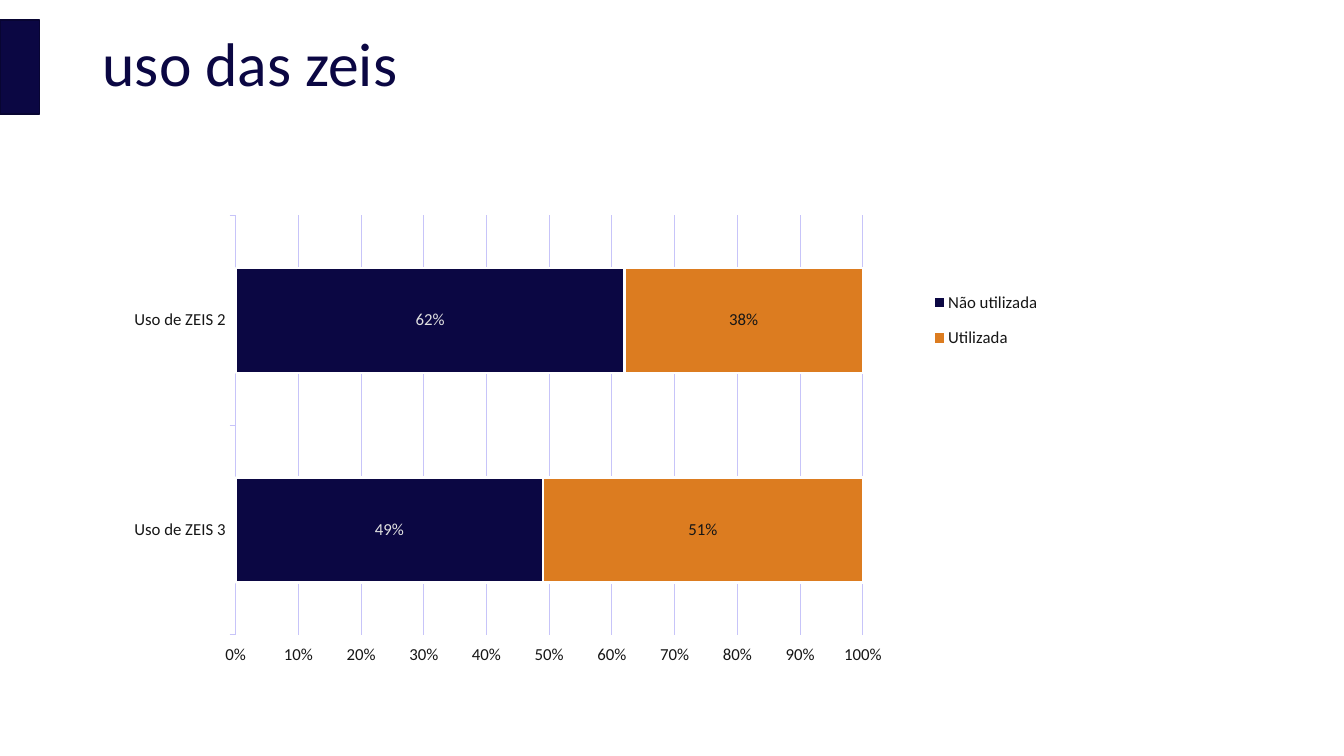
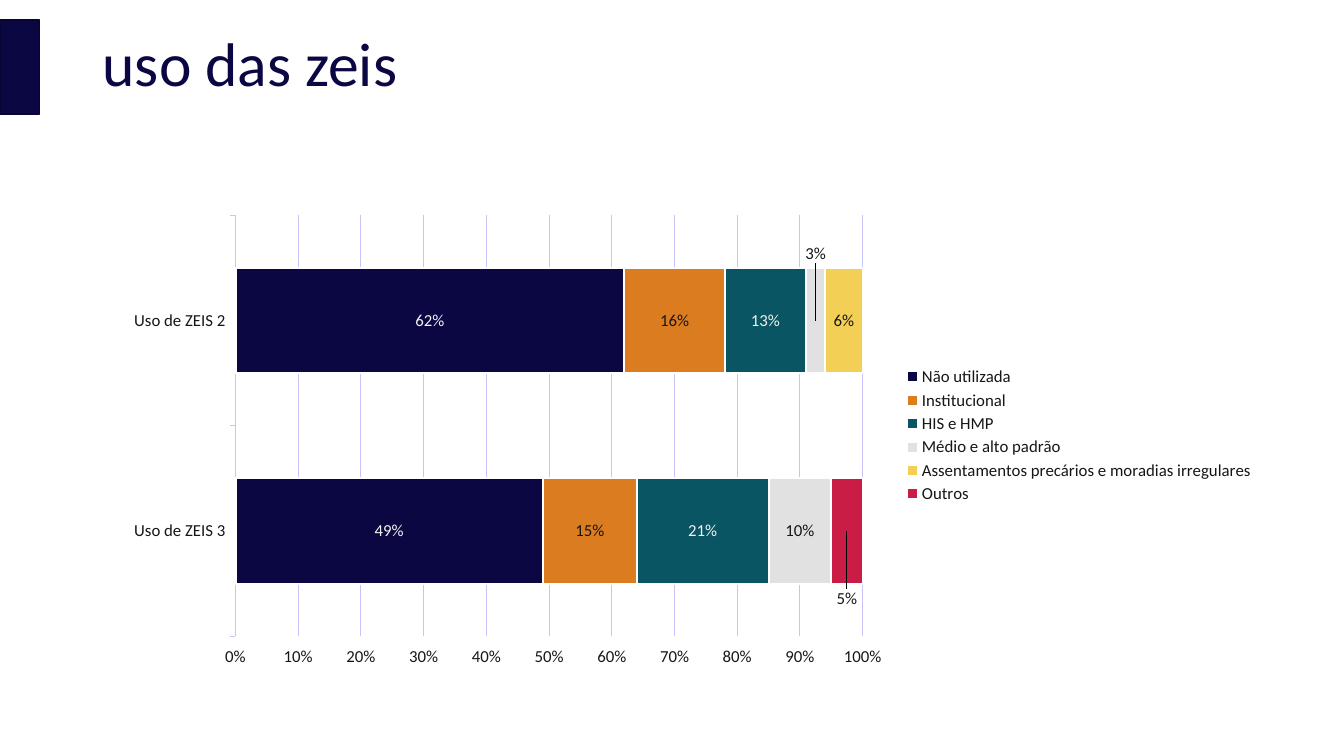
from lxml import etree
from pptx import Presentation
from pptx.chart.data import CategoryChartData
from pptx.dml.color import RGBColor
from pptx.enum.chart import XL_CHART_TYPE, XL_LABEL_POSITION, XL_LEGEND_POSITION, XL_TICK_MARK
from pptx.enum.shapes import MSO_SHAPE
from pptx.enum.text import MSO_ANCHOR
from pptx.oxml.ns import qn
from pptx.util import Inches, Pt

HUES = {
    "navy": "0B0743", "edge": "080532", "orange": "DC7C20", "teal": "095563",
    "gray": "E1E1E1", "yellow": "F4CF56", "red": "CA1D45", "ink": "161616",
    "pale": "F2F2F2", "grid": "C7C4F9", "white": "FFFFFF",
}
FACE = "Calibri"


def write(frame, text, size=44, hue="navy", space=0.9):
    line = frame.paragraphs[0]
    line.text = text
    line.line_spacing = space
    line.font.size = Pt(size)
    line.font.name = FACE
    line.font.color.rgb = RGBColor.from_string(HUES[hue])


def place(node, index, **parts):
    layout = node.find(qn("c:layout"))
    if layout is not None:
        node.remove(layout)
    layout = etree.Element(qn("c:layout"))
    manual = etree.SubElement(layout, qn("c:manualLayout"))
    for key, value in parts.items():
        etree.SubElement(manual, qn("c:" + key)).set("val", str(value))
    node.insert(index, layout)


slides = [
    {
        "left": 0.75,
        "plot": (0.138, 0.041, 0.541, 0.875),
        "legend": (0.72, 0.17, 0.13, 0.18),
        "series": [
            ("Não utilizada", (0.49, 0.62), "navy", "gray", {}),
            ("Utilizada", (0.51, 0.38), "orange", "ink", {}),
        ],
    },
    {
        "left": 0.99,
        "plot": (0.117, 0.041, 0.541, 0.878),
        "legend": (0.69, 0.35, 0.31, 0.3),
        "series": [
            ("Não utilizada", (0.49, 0.62), "navy", "pale", {}),
            ("Institucional", (0.15, 0.16), "orange", "ink", {}),
            ("HIS e HMP", (0.21, 0.13), "teal", "pale", {}),
            ("Médio e alto padrão", (0.1, 0.03), "gray", "ink", {1: -0.14}),
            ("Assentamentos precários e moradias irregulares", (0, 0.06), "yellow", "ink", {}),
            ("Outros", (0.05, 0), "red", "ink", {0: 0.14}),
        ],
    },
]

deck = Presentation()
deck.slide_width = Inches(13.33)
deck.slide_height = Inches(7.5)

for page in slides:
    slide = deck.slides.add_slide(deck.slide_layouts[6])
    band = slide.shapes.add_shape(
        MSO_SHAPE.RECTANGLE, Inches(0), Inches(0.2), Inches(0.39), Inches(0.93))
    band.shadow.inherit = False
    band.fill.solid()
    band.fill.fore_color.rgb = RGBColor.from_string(HUES["navy"])
    band.line.color.rgb = RGBColor.from_string(HUES["edge"])
    band.line.width = Pt(1)

    title = slide.shapes.add_textbox(Inches(0.92), Inches(0.2), Inches(11.5), Inches(0.93))
    title.text_frame.word_wrap = True
    title.text_frame.vertical_anchor = MSO_ANCHOR.MIDDLE
    write(title.text_frame, "uso das zeis")

    data = CategoryChartData(number_format="0%;;")
    data.categories = ["Uso de ZEIS 3", "Uso de ZEIS 2"]
    for name, values, *rest in page["series"]:
        data.add_series(name, values)
    chart = slide.shapes.add_chart(
        XL_CHART_TYPE.BAR_STACKED_100, Inches(page["left"]), Inches(1.94),
        Inches(11.5), Inches(4.76), data).chart
    chart.has_title = False
    chart.font.name = FACE
    chart.font.size = Pt(12)
    chart.font.color.rgb = RGBColor.from_string(HUES["ink"])

    cats, scale = chart.category_axis, chart.value_axis
    cats.major_tick_mark = scale.major_tick_mark = XL_TICK_MARK.OUTSIDE
    scale.has_major_gridlines = True
    for line in (cats.format.line, scale.major_gridlines.format.line):
        line.color.rgb = RGBColor.from_string(HUES["grid"])
        line.width = Pt(0.75)
    scale.format.line.fill.background()
    scale.tick_labels.number_format = "0%"
    scale.tick_labels.number_format_is_linked = False

    chart.has_legend = True
    chart.legend.position = XL_LEGEND_POSITION.RIGHT
    chart.legend.include_in_layout = False
    area = chart._chartSpace.chart.plotArea
    x, y, w, h = page["plot"]
    place(area, 0, layoutTarget="inner", xMode="edge", yMode="edge", x=x, y=y, w=w, h=h)
    x, y, w, h = page["legend"]
    place(area.getparent().find(qn("c:legend")), 1,
          xMode="edge", yMode="edge", x=x, y=y, w=w, h=h)

    plot = chart.plots[0]
    plot.gap_width = 100
    plot.overlap = 100
    plot.vary_by_categories = False
    for bar, (name, values, hue, ink, shifts) in zip(plot.series, page["series"]):
        bar.format.fill.solid()
        bar.format.fill.fore_color.rgb = RGBColor.from_string(HUES[hue])
        bar.format.line.color.rgb = RGBColor.from_string(HUES["white"])
        bar.format.line.width = Pt(1.5)
        labels = bar.data_labels
        labels.show_value = True
        labels.number_format = "0%;;"
        labels.number_format_is_linked = False
        labels.position = XL_LABEL_POSITION.CENTER
        labels.font.size = Pt(12)
        labels.font.name = FACE
        labels.font.color.rgb = RGBColor.from_string(HUES[ink])
        for index, shift in shifts.items():
            label = bar.points[index].data_label
            label.position = XL_LABEL_POSITION.CENTER
            label.font.size = Pt(12)
            label.font.name = FACE
            label.font.color.rgb = RGBColor.from_string(HUES[ink])
            node = labels._element.find(qn("c:dLbl"))
            place(node, 1, x=0, y=shift)

deck.save("out.pptx")
